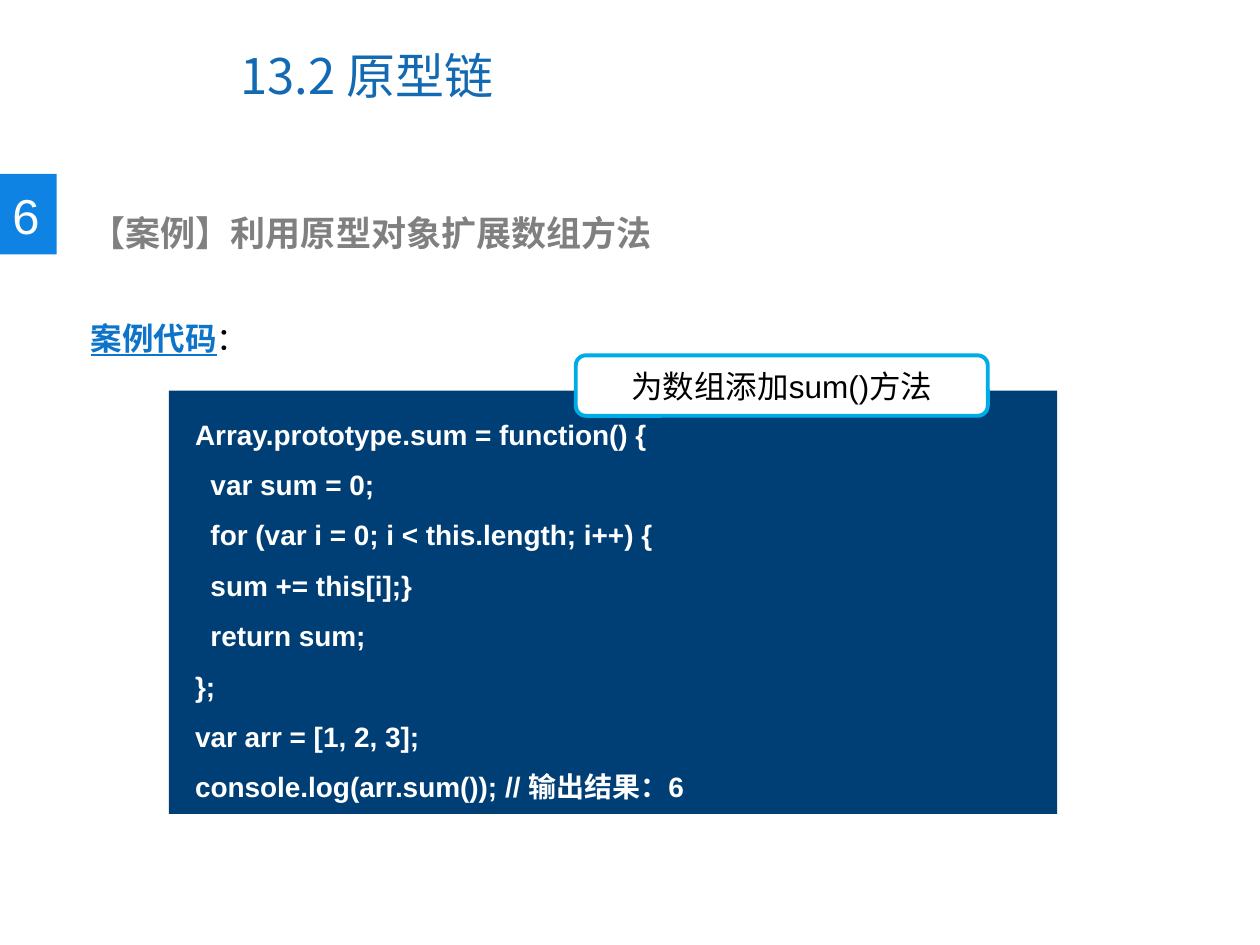
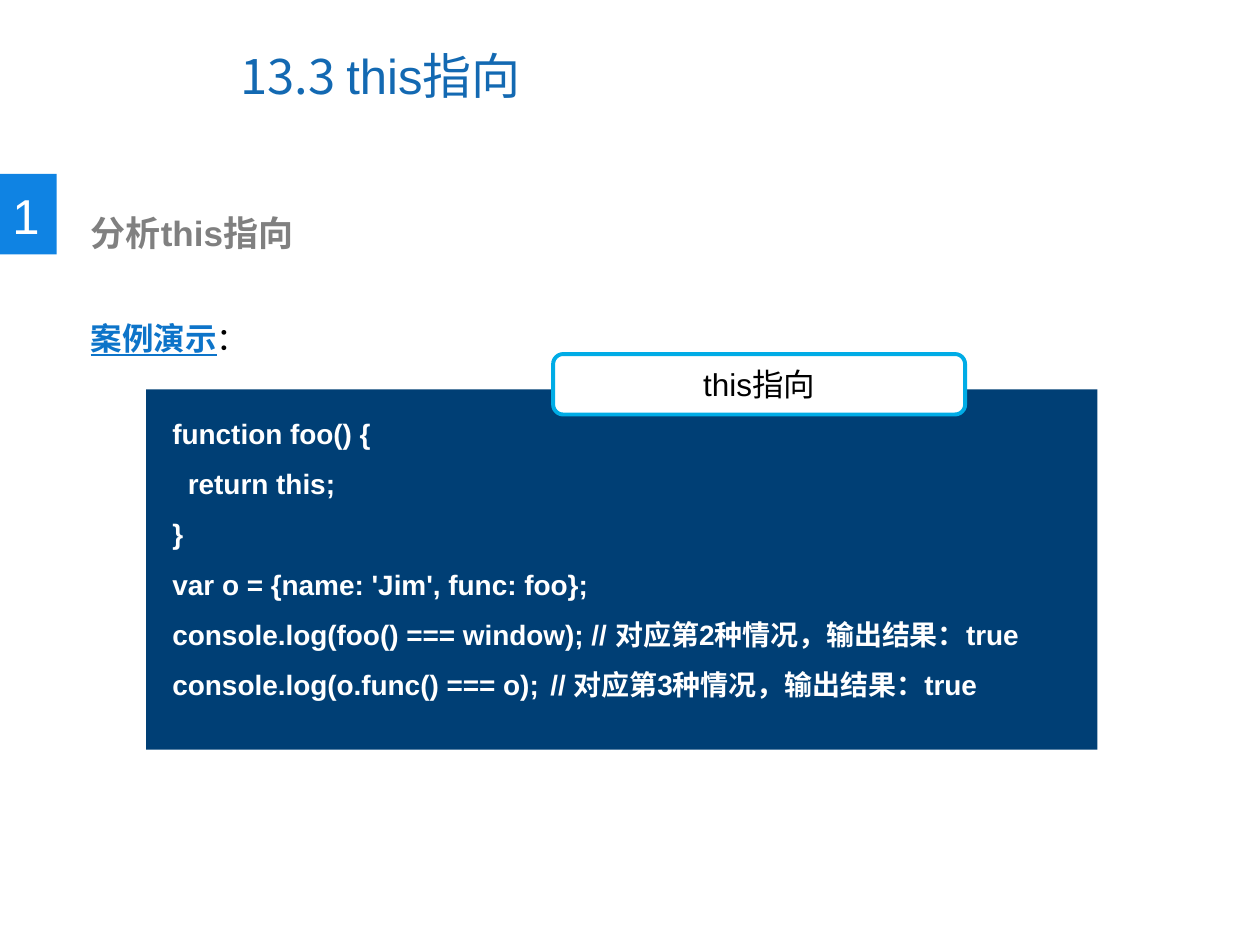
import pptx
import pptx.dml.color
import pptx.enum.shapes
import pptx.enum.text
import pptx.oxml.ns
import pptx.util
from lxml import etree

Inches = pptx.util.Inches
Shape = pptx.enum.shapes.MSO_SHAPE
Anchor = pptx.enum.text.MSO_ANCHOR
Align = pptx.enum.text.PP_ALIGN

ARIAL = "Arial"
NOTO = "Noto Sans CJK SC"
TITLE = "1369B2"
TAB = "0F83E3"
TOPIC = "808080"
LINK = "0D74C9"
PANEL = "003F75"
EDGE = "00ACE6"
WHITE = "FFFFFF"
BLACK = "000000"


def color(code):
    return pptx.dml.color.RGBColor.from_string(code)


def style(run, size, ink, font=ARIAL, bold=False, line=False):
    face = run.font
    face.size = pptx.util.Pt(size)
    face.name = font
    face.bold = bold
    face.underline = line
    face.color.rgb = color(ink)
    latin = face._element.find(pptx.oxml.ns.qn("a:latin"))
    asian = etree.Element(pptx.oxml.ns.qn("a:ea"), typeface=NOTO)
    latin.addnext(asian)


def write(frame, *lines, space=1, align=Align.LEFT, anchor=Anchor.TOP,
          wrap=True, **look):
    frame.word_wrap = wrap
    frame.vertical_anchor = anchor
    for index, line in enumerate(lines):
        para = frame.paragraphs[0] if index == 0 else frame.add_paragraph()
        para.line_spacing = space
        para.alignment = align
        parts = [(line, {})] if isinstance(line, str) else line
        for words, change in parts:
            run = para.add_run()
            run.text = words
            style(run, **{**look, **change})


def label(slide, box, *lines, inset=0.1, **look):
    frame = slide.shapes.add_textbox(*map(Inches, box)).text_frame
    frame.margin_left = Inches(inset)
    write(frame, *lines, **look)


def block(slide, box, fill, kind=Shape.RECTANGLE, edge=None):
    shape = slide.shapes.add_shape(kind, *map(Inches, box))
    shape.shadow.inherit = False
    shape.fill.solid()
    shape.fill.fore_color.rgb = color(fill)
    if edge:
        shape.line.color.rgb = color(edge)
        shape.line.width = pptx.util.Pt(2.25)
    else:
        shape.line.fill.background()
    return shape


def header(slide, part, name, number, topic, lead):
    label(slide, (0.62, 2.18, 8.65, 0.61),
          [(lead, {"ink": LINK, "bold": True, "line": True}), ("：", {})],
          size=18, ink=BLACK, space=2)
    label(slide, (1.81, 0.17, 5.16, 0.85),
          [(part + " ", {"font": NOTO}), (name, {})],
          size=28, ink=TITLE, anchor=Anchor.MIDDLE)
    block(slide, (0, 1.38, 0.45, 0.64), TAB)
    label(slide, (0, 1.42, 0.42, 0.57), number, size=28, ink=WHITE, wrap=False)
    label(slide, (0.47, 1.63, 5.14, 0.44), topic, inset=0.25,
          size=20, ink=TOPIC, bold=True)


def code(slide, box, lines):
    left, top, width, height = box
    block(slide, box, PANEL)
    label(slide, (left + 0.11, top + 0.03, width - 0.11, height - 0.03),
          *lines, size=16, ink=WHITE, bold=True, space=1.5)


def badge(slide, left, top, words):
    shape = block(slide, (left, top, 3.27, 0.48), WHITE,
                  Shape.ROUNDED_RECTANGLE, EDGE)
    write(shape.text_frame, words, size=18, ink=BLACK,
          align=Align.CENTER, anchor=Anchor.MIDDLE)


def main():
    deck = pptx.Presentation()
    deck.slide_width = Inches(10)
    deck.slide_height = Inches(7.5)
    blank = deck.slide_layouts[6]

    slide = deck.slides.add_slide(blank)
    header(slide, "13.2", "原型链", "6",
           "【案例】利用原型对象扩展数组方法", "案例代码")
    code(slide, (1.34, 3.1, 7.05, 3.36), [
        "Array.prototype.sum = function() {",
        "  var sum = 0;",
        "  for (var i = 0; i < this.length; i++) {",
        "  sum += this[i];}",
        "  return sum;",
        "};",
        "var arr = [1, 2, 3];",
        "console.log(arr.sum()); // 输出结果：6",
    ])
    badge(slide, 4.57, 2.82, "为数组添加sum()方法")

    slide = deck.slides.add_slide(blank)
    header(slide, "13.3", "this指向", "1", "分析this指向", "案例演示")
    code(slide, (1.16, 3.09, 7.55, 2.86), [
        "function foo() {",
        "  return this;",
        "}",
        "var o = {name: 'Jim', func: foo};",
        "console.log(foo() === window); // 对应第2种情况，输出结果：true",
        "console.log(o.func() === o);\t// 对应第3种情况，输出结果：true",
    ])
    badge(slide, 4.39, 2.81, "this指向")

    deck.save("out.pptx")


if __name__ == "__main__":
    main()
